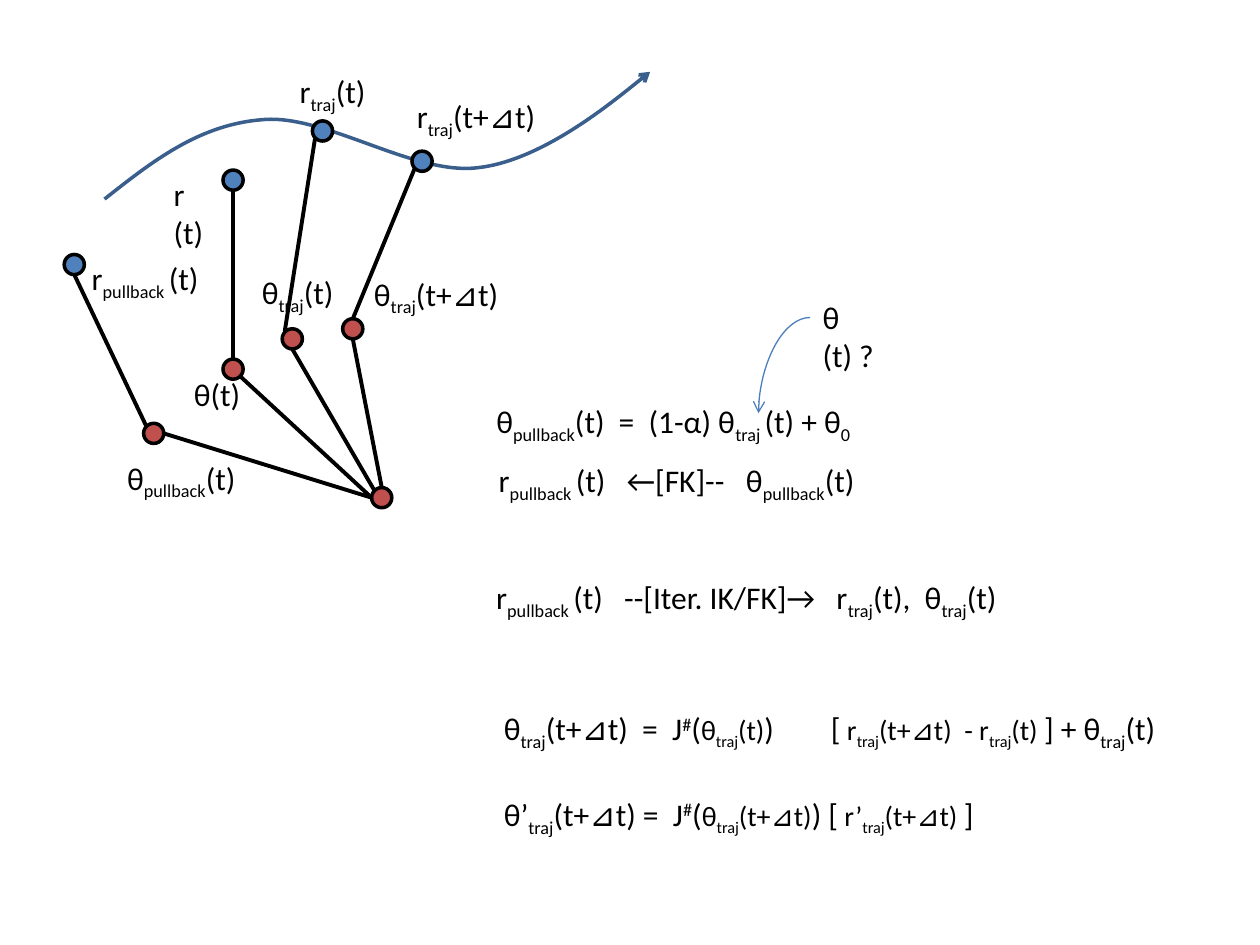
from lxml import etree
from pptx import Presentation
from pptx.dml.color import RGBColor
from pptx.enum.shapes import MSO_CONNECTOR, MSO_SHAPE
from pptx.enum.text import MSO_AUTO_SIZE
from pptx.oxml.ns import qn
from pptx.util import Inches, Pt

STRAIGHT, CURVE = MSO_CONNECTOR.STRAIGHT, MSO_CONNECTOR.CURVE
OVAL = MSO_SHAPE.OVAL
FIT_SHAPE = MSO_AUTO_SIZE.SHAPE_TO_FIT_TEXT

BLACK = RGBColor(0x00, 0x00, 0x00)
HAND_BLUE = RGBColor(0x4F, 0x81, 0xBD)
JOINT_RED = RGBColor(0xC0, 0x50, 0x4D)
TRAJECTORY_BLUE = RGBColor(0x3A, 0x5F, 0x8C)
HINT_BLUE = RGBColor(0x4B, 0x7E, 0xBC)

FONT = "Calibri"
DOT = 0.16
DIAGONAL = 0.06
SITES = {
    "top": (0, -DOT / 2), "bottom": (0, DOT / 2),
    "left": (-DOT / 2, 0), "right": (DOT / 2, 0),
    "top left": (-DIAGONAL, -DIAGONAL), "bottom left": (-DIAGONAL, DIAGONAL),
    "bottom right": (DIAGONAL, DIAGONAL),
}

TRAJECTORY = [
    (0.83, 1.58),
    (1.21, 1.28), (1.58, 0.99), (2.08, 0.95),
    (2.58, 0.90), (3.29, 1.40), (3.80, 1.33),
    (4.32, 1.27), (5.16, 0.57), (5.16, 0.57),
]

BASE = (3.03, 3.95)
ARMS = [
    ((3.35, 1.28), "bottom left", "top", (2.80, 2.61), "bottom", "top"),
    ((2.56, 1.04), "bottom left", "top left", (2.32, 2.69), "bottom", "top left"),
    ((1.85, 1.43), "bottom", "top", (1.85, 2.93), "bottom right", "left"),
    ((0.59, 2.10), "bottom", "top left", (1.22, 3.44), "right", "left"),
]

# _ toggles subscript, ^ toggles superscript, | toggles small size
LABELS = [
    (2.28, 0.52, 0.76, "r_traj_(t)"),
    (3.21, 0.72, 1.22, "r_traj_(t+⊿t)"),
    (1.98, 2.12, 0.81, "θ_traj_(t)"),
    (2.87, 2.13, 1.27, "θ_traj_(t+⊿t)"),
    (1.28, 1.34, 0.57, "r (t)"),
    (1.44, 2.93, 0.58, "θ(t)"),
    (0.91, 3.59, 1.15, "θ_pullback_(t)"),
    (0.63, 2.01, 1.14, "r_pullback _(t)"),
    (6.43, 2.32, 0.79, "θ (t) ?"),
    (3.84, 3.14, 3.29, "θ_pullback_(t)  =  (1-α) θ_traj _(t) + θ_0_"),
    (3.86, 3.61, 3.21, "r_pullback _(t)   ←[FK]--   θ_pullback_(t)"),
    (3.84, 4.54, 4.37, "r_pullback _(t)   --[Iter. IK/FK]→   r_traj_(t),  θ_traj_(t)"),
    (3.90, 5.58, 5.68, "θ_traj_(t+⊿t)  =  J^#^(|θ_traj_(t)|)        [| r_traj_(t+⊿t)  - r_traj_(t) |] + θ_traj_(t)"),
    (3.90, 6.26, 4.19, "θ’_traj_(t+⊿t) =  J^#^(|θ_traj_(t+⊿t)|) [| r’_traj_(t+⊿t) |]"),
]


def split_runs(markup):
    active, text = set(), ""
    for char in markup:
        if char in "_^|":
            if text:
                yield text, set(active)
            active ^= {char}
            text = ""
        else:
            text += char
    if text:
        yield text, active


def add_label(slide, markup, left, top, width, size=18, small=16, color=BLACK):
    box = slide.shapes.add_textbox(Inches(left), Inches(top), Inches(width), Inches(0.4))
    frame = box.text_frame
    frame.word_wrap = False
    frame.auto_size = FIT_SHAPE
    for text, active in split_runs(markup):
        run = frame.paragraphs[0].add_run()
        run.text = text
        run.font.name = FONT
        run.font.size = Pt(small if "|" in active else size)
        run.font.color.rgb = color
        if "_" in active:
            run.font._element.set("baseline", "-25000")
        elif "^" in active:
            run.font._element.set("baseline", "30000")


def style_line(shape, color, width, arrow=False):
    shape.line.color.rgb = color
    shape.line.width = Pt(width)
    if arrow:
        etree.SubElement(shape.line._get_or_add_ln(), qn("a:tailEnd"), type="arrow")


def add_link(slide, start, end, color=BLACK, width=2.25, kind=STRAIGHT, arrow=False):
    link = slide.shapes.add_connector(kind, *(Inches(v) for v in (*start, *end)))
    style_line(link, color, width, arrow)
    etree.SubElement(link._element.spPr, qn("a:effectLst"))
    return link


def add_dot(slide, center, color):
    x, y = center
    dot = slide.shapes.add_shape(
        OVAL, Inches(x - DOT / 2), Inches(y - DOT / 2), Inches(DOT), Inches(DOT))
    dot.shadow.inherit = False
    dot.fill.solid()
    dot.fill.fore_color.rgb = color
    style_line(dot, BLACK, 2)


def add_trajectory(slide):
    points = [(Inches(x), Inches(y)) for x, y in TRAJECTORY]
    builder = slide.shapes.build_freeform(*points[0])
    builder.add_line_segments(points[1:], close=False)
    curve = builder.convert_to_shape()
    curve.shadow.inherit = False
    curve.fill.background()
    style_line(curve, TRAJECTORY_BLUE, 2, arrow=True)
    segments = list(curve._element.iter(qn("a:lnTo")))
    for first in range(0, len(segments), 3):
        bezier = etree.Element(qn("a:cubicBezTo"))
        segments[first].addprevious(bezier)
        for segment in segments[first:first + 3]:
            bezier.append(segment[0])
            segment.getparent().remove(segment)


def site(center, name):
    return tuple(c + offset for c, offset in zip(center, SITES[name]))


def main():
    deck = Presentation()
    deck.slide_width, deck.slide_height = Inches(10), Inches(7.5)
    slide = deck.slides.add_slide(deck.slide_layouts[6])

    add_trajectory(slide)
    add_dot(slide, BASE, JOINT_RED)
    for hand, hand_site, elbow_in, elbow, elbow_out, base_site in ARMS:
        add_dot(slide, elbow, JOINT_RED)
        add_dot(slide, hand, HAND_BLUE)
        add_link(slide, site(elbow, elbow_out), site(BASE, base_site))
        add_link(slide, site(hand, hand_site), site(elbow, elbow_in))

    for left, top, width, markup in LABELS:
        add_label(slide, markup, left, top, width)

    hint = add_link(slide, (6.43, 2.52), (6.02, 3.28), HINT_BLUE, 0.75, CURVE, arrow=True)
    hint._element.spPr.find(qn("a:prstGeom")).set("prst", "curvedConnector2")

    deck.save("out.pptx")


if __name__ == "__main__":
    main()
